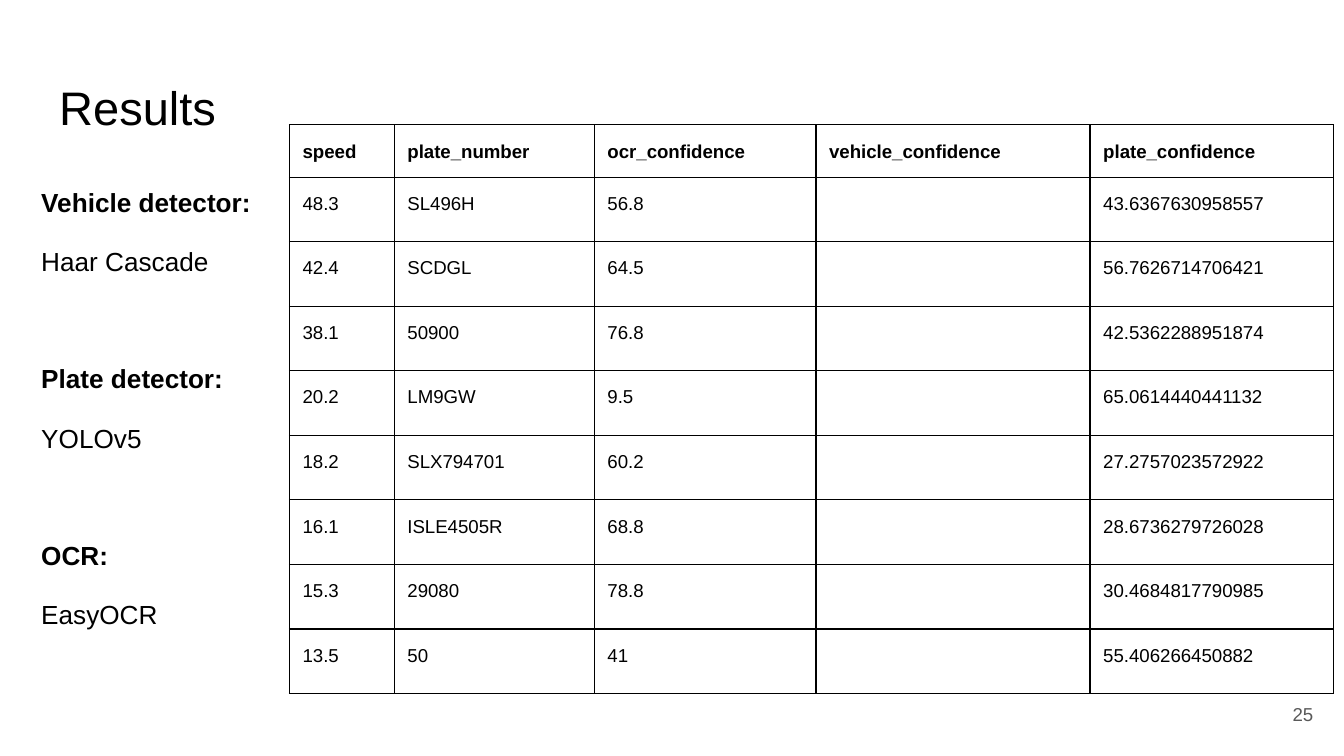
from lxml.etree import SubElement
from pptx import Presentation
from pptx.dml.color import RGBColor
from pptx.enum.text import MSO_ANCHOR as Anchor, PP_ALIGN as Align
from pptx.oxml.ns import qn
from pptx.util import Cm, Pt

COLORS = {"text": "000000", "border": "000000", "number": "595959", "page": "FFFFFF"}
FONT = "Arial"
INSET = Cm(0.25)
LINE_SPACING = 1.15

COLUMN_WIDTHS = [1.98, 3.78, 4.19, 5.18, 4.6]
HEADER_HEIGHT, ROW_HEIGHT = 0.97, 1.22
RESULTS = [
    ["speed", "plate_number", "ocr_confidence", "vehicle_confidence", "plate_confidence"],
    ["48.3", "SL496H", "56.8", "", "43.6367630958557"],
    ["42.4", "SCDGL", "64.5", "", "56.7626714706421"],
    ["38.1", "50900", "76.8", "", "42.5362288951874"],
    ["20.2", "LM9GW", "9.5", "", "65.0614440441132"],
    ["18.2", "SLX794701", "60.2", "", "27.2757023572922"],
    ["16.1", "ISLE4505R", "68.8", "", "28.6736279726028"],
    ["15.3", "29080", "78.8", "", "30.4684817790985"],
    ["13.5", "50", "41", "", "55.406266450882"],
]
METHODS = [
    ("Vehicle detector:", "Haar Cascade"),
    ("Plate detector:", "YOLOv5"),
    ("OCR:", "EasyOCR"),
]


def style_paragraph(para, size, bold=False, color="text"):
    para.font.name = FONT
    para.font.size = Pt(size)
    para.font.bold = bold
    para.font.color.rgb = RGBColor.from_string(COLORS[color])


def set_insets(holder):
    holder.margin_left = holder.margin_right = INSET
    holder.margin_top = holder.margin_bottom = INSET


def add_text_box(page, left, top, width, height):
    box = page.shapes.add_textbox(Cm(left), Cm(top), Cm(width), Cm(height))
    frame = box.text_frame
    frame.word_wrap = True
    set_insets(frame)
    return frame


def add_label(page, place, text, size, color="text", align=Align.LEFT, anchor=Anchor.TOP):
    frame = add_text_box(page, *place)
    frame.vertical_anchor = anchor
    para = frame.paragraphs[0]
    para.text = text
    para.alignment = align
    style_paragraph(para, size, color=color)


def add_methods(page):
    frame = add_text_box(page, 0.53, 3.18, 6.15, 9.5)
    for index, (heading, method) in enumerate(METHODS):
        for text, bold in ((heading, True), (method, False)):
            first = index == 0 and bold
            para = frame.paragraphs[0] if first else frame.add_paragraph()
            para.text = text
            para.line_spacing = LINE_SPACING
            if not first:
                para.space_before = Pt(43.5 if bold else 12.5)
            style_paragraph(para, 14, bold)


def add_borders(cell):
    properties = cell._tc.get_or_add_tcPr()
    for position, side in enumerate(("a:lnL", "a:lnR", "a:lnT", "a:lnB")):
        line = properties.makeelement(qn(side), {"w": str(Pt(0.75))})
        fill = SubElement(line, qn("a:solidFill"))
        SubElement(fill, qn("a:srgbClr"), val=COLORS["border"])
        properties.insert(position, line)


def add_results_table(page):
    height = HEADER_HEIGHT + ROW_HEIGHT * (len(RESULTS) - 1)
    table = page.shapes.add_table(
        len(RESULTS), len(COLUMN_WIDTHS),
        Cm(5.47), Cm(2.36), Cm(sum(COLUMN_WIDTHS)), Cm(height),
    ).table
    for column, width in zip(table.columns, COLUMN_WIDTHS):
        column.width = Cm(width)
    for r, values in enumerate(RESULTS):
        table.rows[r].height = Cm(ROW_HEIGHT if r else HEADER_HEIGHT)
        for c, value in enumerate(values):
            cell = table.cell(r, c)
            cell.fill.background()
            add_borders(cell)
            if value:
                set_insets(cell)
                para = cell.text_frame.paragraphs[0]
                para.text = value
                para.line_spacing = LINE_SPACING
                style_paragraph(para, 10, bold=r == 0)


def main():
    deck = Presentation()
    deck.slide_width, deck.slide_height = Cm(25.4), Cm(14.29)
    page = deck.slides.add_slide(deck.slide_layouts[6])
    page.background.fill.solid()
    page.background.fill.fore_color.rgb = RGBColor.from_string(COLORS["page"])

    # Detectors on the left, title above
    add_methods(page)
    add_label(page, (0.87, 1.24, 23.67, 1.6), "Results", 25.2)

    # Measured results
    add_results_table(page)

    # Page number
    add_label(page, (23.55, 12.95, 1.52, 1.09), "25", 10, "number", Align.RIGHT, Anchor.MIDDLE)

    deck.save("out.pptx")


if __name__ == "__main__":
    main()
